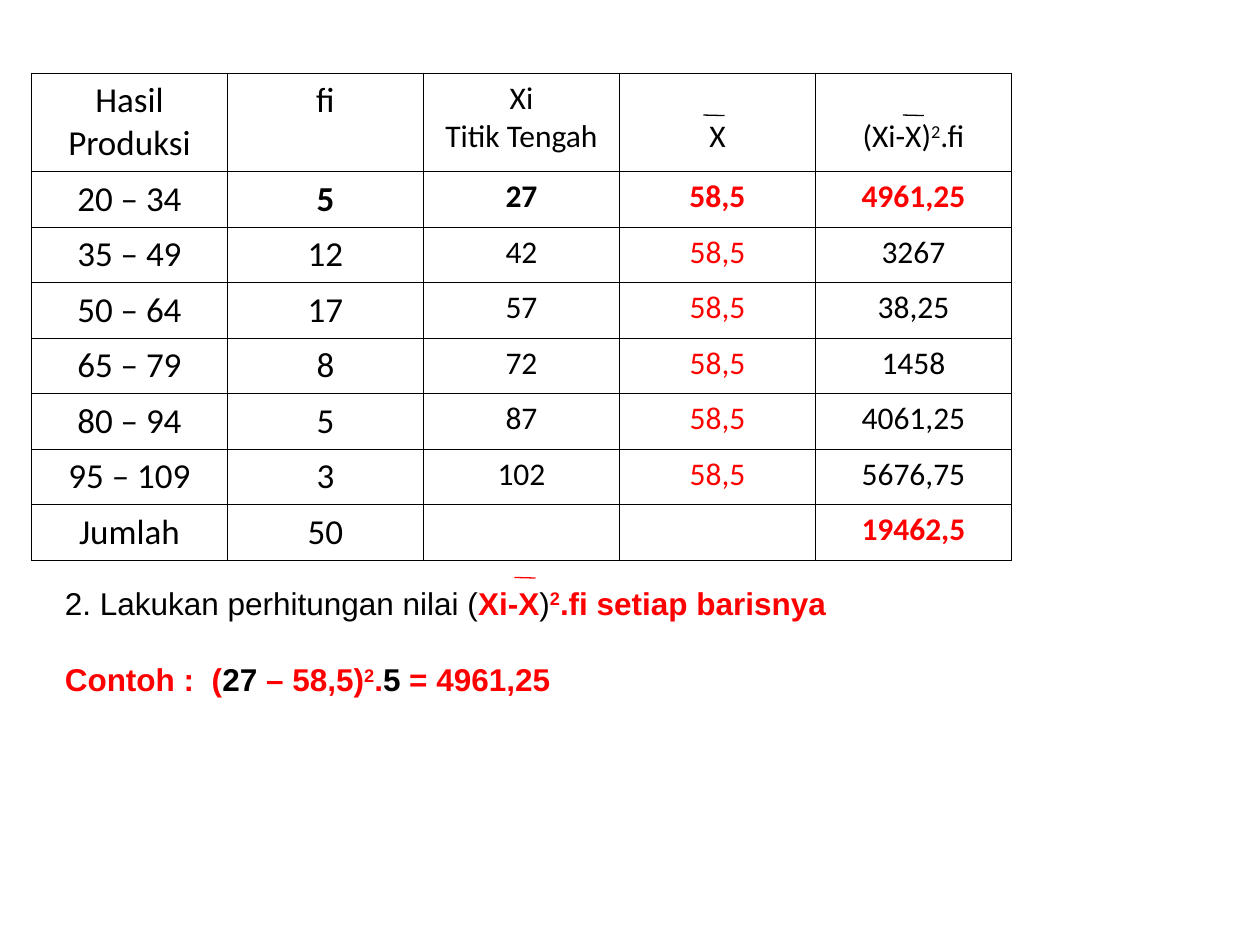
from lxml import etree
from pptx import Presentation
from pptx.dml.color import RGBColor
from pptx.enum import shapes, text
from pptx.oxml import ns
from pptx.util import Pt

BLACK = RGBColor(0, 0, 0)
RED = RGBColor(255, 0, 0)
MEAN = "58,5"
SUPERSCRIPT = "30000"

COLUMN_WIDTH, HEADER_HEIGHT, ROW_HEIGHT = 112, 55.4, 31.25
LINE_HEIGHT = 22  # one line of 18 pt table text
COLUMN_SIZES = [20, 20, 18, 18, 18]
HEADERS = [
    [["Hasil Produksi"]],
    [["fi"]],
    [["Xi"], ["Titik Tengah"]],
    [["X"]],
    [["(Xi-X)", ("2", {"baseline": SUPERSCRIPT}), ".fi"]],
]
CLASSES = [
    ("20 – 34", "5", "27", MEAN, "4961,25"),
    ("35 – 49", "12", "42", MEAN, "3267"),
    ("50 – 64", "17", "57", MEAN, "38,25"),
    ("65 – 79", "8", "72", MEAN, "1458"),
    ("80 – 94", "5", "87", MEAN, "4061,25"),
    ("95 – 109", "3", "102", MEAN, "5676,75"),
    ("Jumlah", "50", "", "", "19462,5"),
]

BOLD_RED = {"bold": True, "color": RED}
BOLD_BLACK = {"bold": True}
RED_SQUARE = {**BOLD_RED, "baseline": SUPERSCRIPT}
NOTES = [
    ["2. Lakukan perhitungan nilai (", ("Xi-X", BOLD_RED), ")",
     ("2", RED_SQUARE), (".fi setiap barisnya", BOLD_RED)],
    [("Contoh :  (", BOLD_RED), ("27", BOLD_BLACK), (" – 58,5)", BOLD_RED),
     ("2", RED_SQUARE), (".", BOLD_RED), ("5", BOLD_BLACK),
     (" = 4961,25", BOLD_RED)],
]


def add_spans(para, spans, **base):
    """Add spans given as text, or as (text, format values) over the base."""
    for item in spans:
        words, changes = (item, {}) if isinstance(item, str) else item
        style = {"bold": False, "color": BLACK, **base, **changes}
        span = para.add_run()
        span.text = words
        span.font.color.rgb = style.pop("color")
        baseline = style.pop("baseline", None)
        for name, value in style.items():
            setattr(span.font, name, value)
        if baseline:
            span._r.get_or_add_rPr().set("baseline", baseline)


def fill_paragraphs(frame, lines, alignment, gap=0, **base):
    for index, spans in enumerate(lines):
        para = frame.add_paragraph() if index else frame.paragraphs[0]
        para.alignment = alignment
        if index:
            para.space_before = Pt(gap)
        add_spans(para, spans, **base)


def set_borders(cell):
    properties = cell._tc.get_or_add_tcPr()
    for position, side in enumerate(("lnL", "lnR", "lnT", "lnB")):
        line = etree.Element(ns.qn(f"a:{side}"), w=str(Pt(0.45)))
        fill = etree.SubElement(line, ns.qn("a:solidFill"))
        etree.SubElement(fill, ns.qn("a:srgbClr"), val=str(BLACK))
        properties.insert(position, line)


def cell_style(row, column):
    """Mark the means, the worked example and the grand total."""
    example = row == 1 and column > 0
    total = row == len(CLASSES) and column == 4
    red = row > 0 and column == 3 or example and column == 4 or total
    return {"bold": example or total, "color": RED if red else BLACK}


def add_frequency_table(page, left, top):
    rows = [HEADERS] + [[[[value]] for value in values] for values in CLASSES]
    count = len(COLUMN_SIZES)
    frame = page.shapes.add_table(
        len(rows), count, Pt(left), Pt(top), Pt(COLUMN_WIDTH * count),
        Pt(HEADER_HEIGHT + ROW_HEIGHT * len(CLASSES)))
    table = frame.table
    for column in table.columns:
        column.width = Pt(COLUMN_WIDTH)
    for row, values in enumerate(rows):
        table.rows[row].height = Pt(ROW_HEIGHT if row else HEADER_HEIGHT)
        for column, lines in enumerate(values):
            cell = table.cell(row, column)
            cell.fill.background()
            set_borders(cell)
            if row == 0 and column >= 3:
                cell.margin_top = Pt(3.6 + LINE_HEIGHT)
            fill_paragraphs(
                cell.text_frame, lines, text.PP_ALIGN.CENTER, name="Calibri",
                size=Pt(COLUMN_SIZES[column]), **cell_style(row, column))


def add_mean_bar(page, left, top, color):
    """Draw the bar over an X that stands for the mean."""
    bar = page.shapes.add_connector(
        shapes.MSO_CONNECTOR.STRAIGHT, Pt(left), Pt(top), Pt(left + 12), Pt(top + 0.3))
    bar.line.color.rgb = color
    bar.line.width = Pt(0.75)
    etree.SubElement(bar._element.spPr, ns.qn("a:effectLst"))


def add_notes(page, left, top, width, height):
    box = page.shapes.add_textbox(Pt(left), Pt(top), Pt(width), Pt(height))
    box.text_frame.word_wrap = True
    fill_paragraphs(box.text_frame, NOTES, text.PP_ALIGN.LEFT, gap=22,
                    name="Arial", size=Pt(18))
    add_mean_bar(page, left + 264, top, RED)


def main():
    deck = Presentation()
    deck.slide_width, deck.slide_height = Pt(720), Pt(540)
    page = deck.slides.add_slide(deck.slide_layouts[6])
    left, top = 18, 41.75
    add_frequency_table(page, left, top)
    for offset in (384, 498):
        add_mean_bar(page, left + offset, top + 24, BLACK)
    add_notes(page, 30, 330, 534, 93.6)
    deck.save("out.pptx")


if __name__ == "__main__":
    main()
